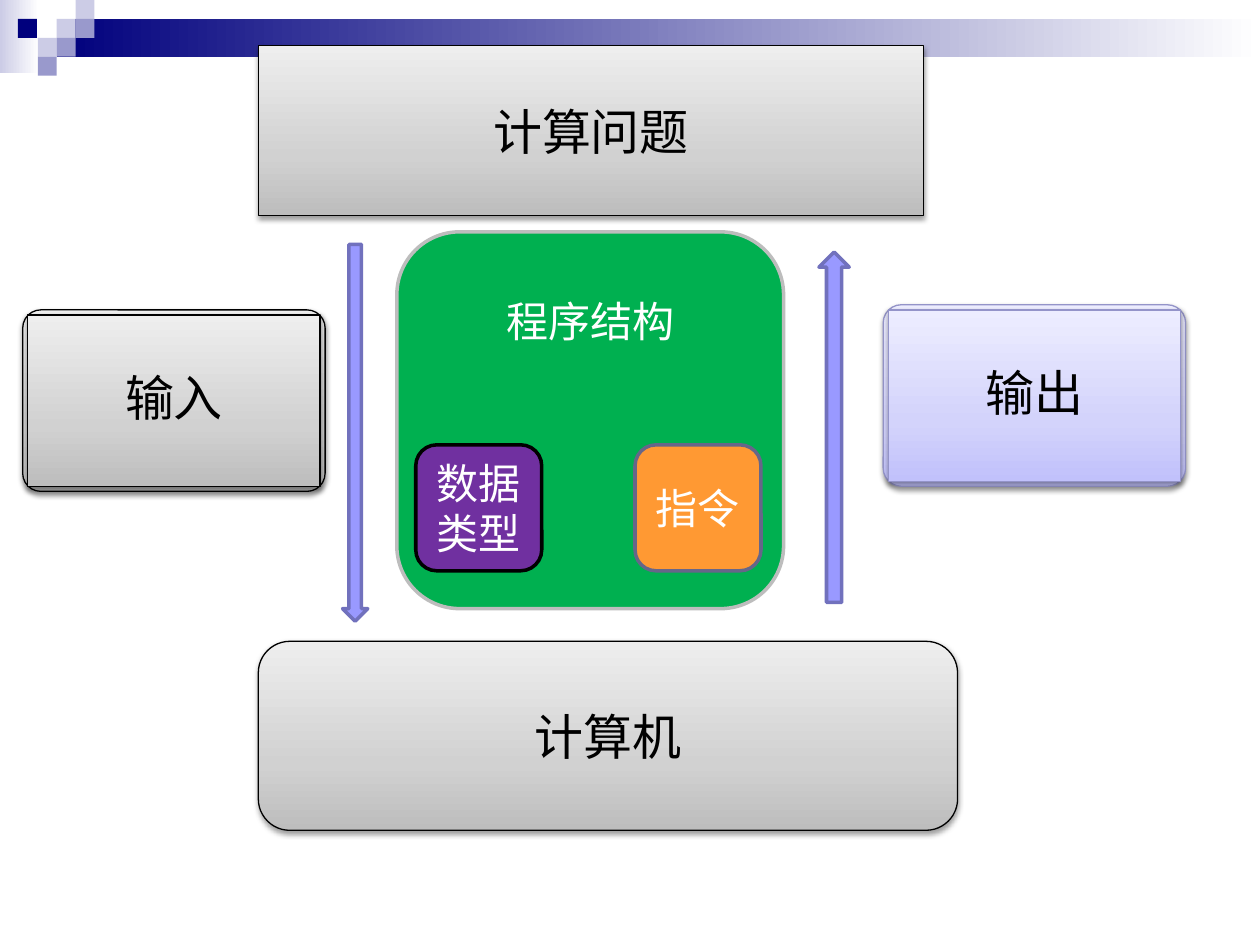
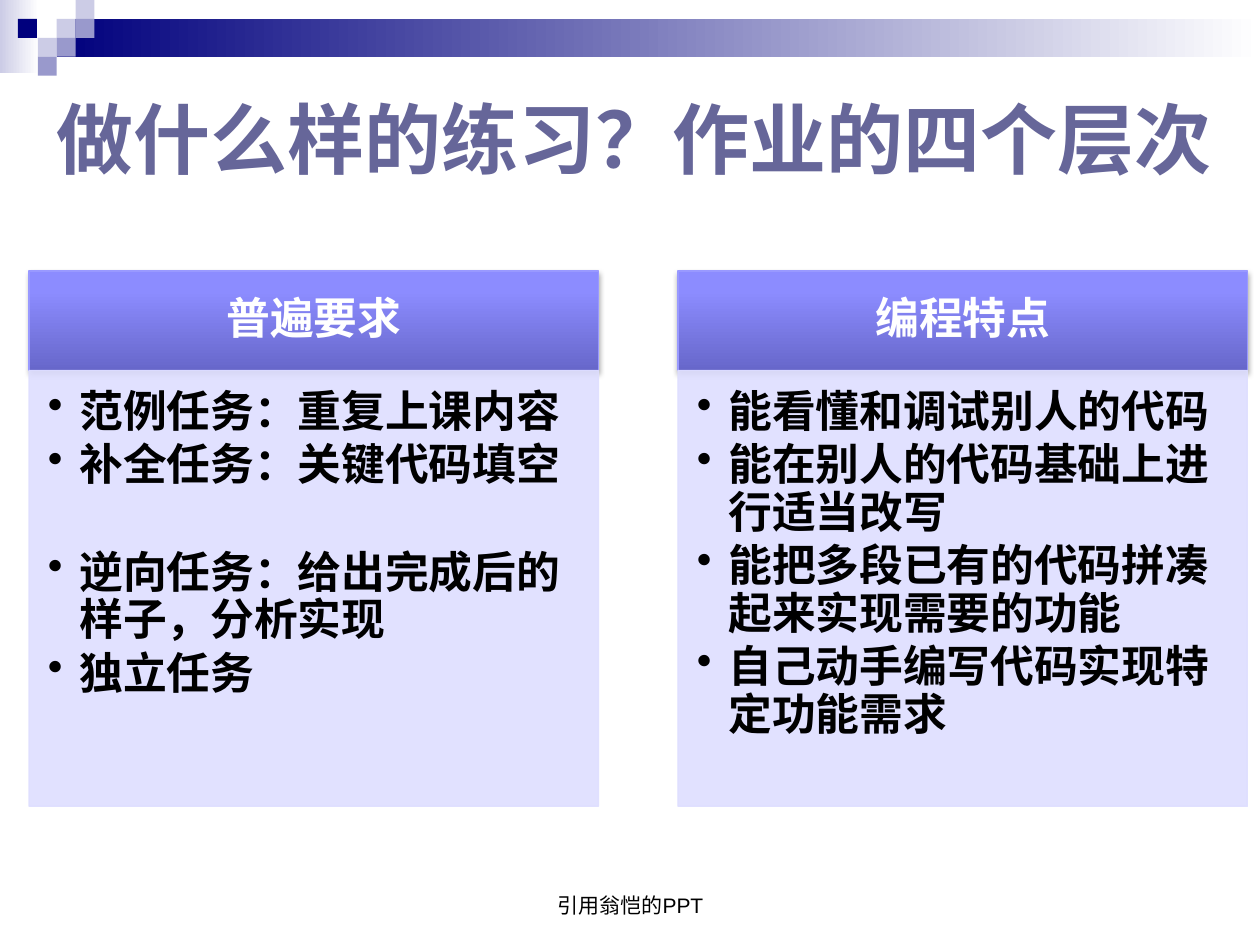
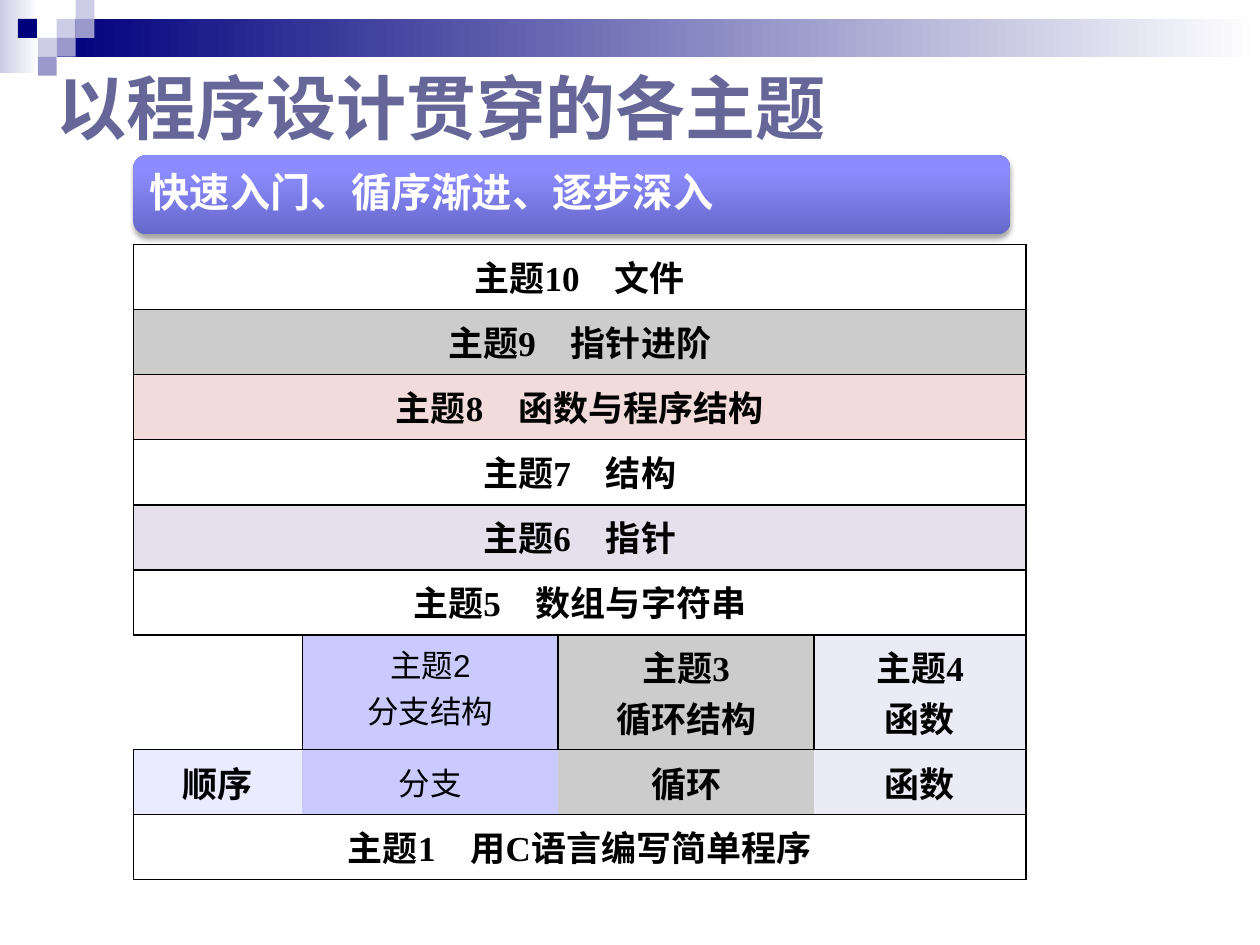
"""Build three course slides: computing model, exercise levels and topic map."""
from lxml import etree
from pptx import Presentation
from pptx.dml.color import RGBColor
from pptx.enum.shapes import MSO_SHAPE
from pptx.enum.text import MSO_ANCHOR, PP_ALIGN
from pptx.oxml.ns import qn
from pptx.util import Pt

RECT, ROUND = MSO_SHAPE.RECTANGLE, MSO_SHAPE.ROUNDED_RECTANGLE
DOWN, UP = MSO_SHAPE.DOWN_ARROW, MSO_SHAPE.UP_ARROW
LEFT, CENTER = PP_ALIGN.LEFT, PP_ALIGN.CENTER
TOP, MIDDLE, BOTTOM = MSO_ANCHOR.TOP, MSO_ANCHOR.MIDDLE, MSO_ANCHOR.BOTTOM

COLORS = {
    "black": "000000", "white": "FFFFFF", "title": "666699",
    "navy": "00007D", "mist": "CCCCE6", "lavender": "9999CC",
    "green": "00B050", "silver": "BDBDBD", "purple": "7030A0",
    "orange": "FF9933", "slate": "666689", "periwinkle": "9999FF",
    "arrow edge": "7171BD", "card edge": "9494C9", "panel": "DEDEFF",
    "gray": "CCCCCC", "rose": "F2DCDB", "lilac": "E6E0EC",
    "branch": "CACAFF", "function": "EBEBF5", "sequence": "EBEBFF",
}
GRAY = [(0, "BDBDBD"), (35, "D1D1D1"), (100, "EEEEEE")]
PALE = [(0, "C1C1FB"), (35, "D3D3FB"), (100, "EDEDFF")]
VIVID = [(0, "6767CA"), (80, "8C8CFF"), (100, "8E8EFF")]
SOFT_SHADOW, HEADER_SHADOW = (38, 1.6), (35, 1.8)
NO_STYLE = "{2D5ABB26-0587-4C30-8999-92F81FD0307C}"


def add_box(page, kind, at, fill, line=None, width=0.75, shadow=None, angle=90):
    """Add a shape with a plain colour name or gradient stops as its fill."""
    box = page.shapes.add_shape(kind, *map(Pt, at))
    box.shadow.inherit = False
    if isinstance(fill, str):
        box.fill.solid()
        box.fill.fore_color.rgb = RGBColor.from_string(COLORS[fill])
    else:
        box.fill.gradient()
        box.fill.gradient_angle = angle
        stops = box.element.spPr.find(".//" + qn("a:gsLst"))
        for stop in list(stops):
            stops.remove(stop)
        for position, color in fill:
            stop = etree.SubElement(stops, qn("a:gs"), pos=str(position * 1000))
            etree.SubElement(stop, qn("a:srgbClr"), val=color)
    if line:
        box.line.color.rgb = RGBColor.from_string(COLORS[line])
        box.line.width = Pt(width)
    else:
        box.line.fill.background()
    if shadow:
        alpha, distance = shadow
        effects = box.element.spPr.find(qn("a:effectLst"))
        outer = etree.SubElement(
            effects, qn("a:outerShdw"), blurRad=str(Pt(3.1)),
            dist=str(Pt(distance)), dir="5400000", rotWithShape="0")
        tint = etree.SubElement(outer, qn("a:srgbClr"), val=COLORS["black"])
        etree.SubElement(tint, qn("a:alpha"), val=str(alpha * 1000))
    return box


def write(frame, text, size, color, bold=False, align=CENTER, font="Arial",
          anchor=None, insets=None):
    """Fill a text frame with paragraphs of one style."""
    frame.text = text
    for para in frame.paragraphs:
        para.alignment = align
        para.font.name = font
        para.font.size = Pt(size)
        para.font.bold = bold
        para.font.color.rgb = RGBColor.from_string(COLORS[color])
    if anchor is not None:
        frame.word_wrap = True
        frame.vertical_anchor = anchor
    if insets:
        (frame.margin_left, frame.margin_top,
         frame.margin_right, frame.margin_bottom) = map(Pt, insets)


deck = Presentation()
deck.slide_width, deck.slide_height = Pt(720), Pt(540)
model, levels, topics = [deck.slides.add_slide(deck.slide_layouts[6]) for _ in range(3)]

UNIT = 10.8
banner = [
    add_box(model, RECT, (0, 0, 22.3, 41.8),
            [(0, COLORS["mist"]), (100, COLORS["white"])], angle=0),
    add_box(model, RECT, (3 * UNIT, UNIT, 720 - 3 * UNIT, 2 * UNIT),
            [(0, COLORS["navy"]), (100, COLORS["white"])], angle=0),
]
for column, row, color in [(3, 1, "mist"), (4, 0, "mist"), (4, 1, "lavender"),
                           (2, 2, "mist"), (0.95, 1, "navy"),
                           (3, 2, "lavender"), (2, 3, "lavender")]:
    banner.append(add_box(model, RECT, (column * UNIT, row * UNIT, UNIT, UNIT), color))
for number, piece in enumerate(banner, 101):
    piece.element.xpath(".//p:cNvPr")[0].set("id", str(number))
    deck.slide_master.shapes.element.append(piece.element)

for page, title, at, size in [
        (levels, "做什么样的练习？作业的四个层次", (25.2, 49, 680.4, 60.5), 44),
        (topics, "以程序设计贯穿的各主题", (25.2, 33.1, 555.8, 55.4), 40)]:
    write(page.shapes.add_textbox(*map(Pt, at)).text_frame, title, size, "title",
          bold=True, align=LEFT, anchor=TOP)

program = add_box(model, ROUND, (226.8, 132.5, 221, 215.3), "green", "silver", 2)
write(program.text_frame, "程序结构", 24, "white", anchor=TOP, insets=(7.2, 26, 7.2, 3.6))
for left, text, fill, line in [(237.6, "数据类型", "purple", "black"),
                               (362.9, "指令", "orange", "slate")]:
    part = add_box(model, ROUND, (left, 254.2, 72, 72), fill, line, 2)
    write(part.text_frame, text, 24, "white", anchor=MIDDLE)
for kind, at, text in [(ROUND, (147.6, 366.5, 399.6, 108), "计算机"),
                       (RECT, (147.6, 25.9, 380.2, 97.2), "计算问题")]:
    level = add_box(model, kind, at, GRAY, "black", shadow=SOFT_SHADOW)
    write(level.text_frame, text, 28, "black", anchor=MIDDLE)
for kind, at in [(DOWN, (195.8, 139.7, 14.4, 215.3)), (UP, (468, 144, 17.3, 200.2))]:
    add_box(model, kind, at, "periwinkle", "arrow edge", 2)
for left, top, text, fill, line in [(504.7, 174.2, "输出", PALE, "card edge"),
                                    (13, 177.1, "输入", GRAY, "black")]:
    card = add_box(model, ROUND, (left, top, 172.8, 103.7), fill, line, shadow=SOFT_SHADOW)
    card.adjustments[0] = 0.1
    face = add_box(model, RECT, (left + 2.9, top + 2.9, 167, 97.9), fill, line,
                   shadow=SOFT_SHADOW)
    write(face.text_frame, text, 28, "black", anchor=MIDDLE, insets=[16.6] * 4)
    face.text_frame.paragraphs[0].line_spacing = 0.9

columns = [
    (16.6, "普遍要求", ["范例任务：重复上课内容", "补全任务：关键代码填空",
                    "逆向任务：给出完成后的样子，分析实现", "独立任务"]),
    (387.4, "编程特点", ["能看懂和调试别人的代码", "能在别人的代码基础上进行适当改写",
                     "能把多段已有的代码拼凑起来实现需要的功能",
                     "自己动手编写代码实现特定功能需求"]),
]
for left, heading, items in columns:
    header = add_box(levels, RECT, (left, 154.8, 325.4, 56.9), VIVID, "periwinkle",
                     shadow=HEADER_SHADOW)
    write(header.text_frame, heading, 25, "white", bold=True, anchor=MIDDLE,
          insets=(13.7, 7.9, 13.7, 7.9))
    header.text_frame.paragraphs[0].line_spacing = 0.9
    panel = add_box(levels, RECT, (left, 211.7, 325.4, 249.1), "panel", "panel")
    for tint in panel.element.spPr.iter(qn("a:srgbClr")):
        etree.SubElement(tint, qn("a:alpha"), val="90000")
    write(panel.text_frame, "\n".join(items), 25, "black", bold=True, align=LEFT,
          anchor=TOP, insets=(10.8, 10.8, 13.7, 15.8))
    for para in panel.text_frame.paragraphs:
        para.line_spacing = 0.9
        para.space_after = Pt(3.75)
        settings = para._p.get_or_add_pPr()
        settings.set("marL", str(Pt(18)))
        settings.set("indent", str(Pt(-18)))
        bullet = etree.SubElement(settings, qn("a:buChar"), char="•")
        settings.insert_element_before(bullet, "a:defRPr")
    if heading == "普遍要求":
        panel.text_frame.paragraphs[2].space_before = Pt(30.5)
footer = levels.shapes.add_textbox(Pt(246.2), Pt(491.8), Pt(228.2), Pt(36))
write(footer.text_frame, "引用翁恺的PPT", 12, "black", anchor=BOTTOM)

slogan = add_box(topics, ROUND, (76.3, 88.6, 501.1, 45.4), VIVID, shadow=HEADER_SHADOW)
write(slogan.text_frame, "快速入门、循序渐进、逐步深入", 23, "white", bold=True,
      align=LEFT, anchor=MIDDLE, insets=[7.2] * 4)
slogan.text_frame.paragraphs[0].line_spacing = 0.9

FRAMED = ["LRTB", "TB", "TB", "RTB"]
SPLIT = [None, "branch", "gray", "function"]
rows = [
    (["主题10　文件"], [None], FRAMED),
    (["主题9　指针进阶"], ["gray"], FRAMED),
    (["主题8　函数与程序结构"], ["rose"], FRAMED),
    (["主题7　结构"], [None], FRAMED),
    (["主题6　指针"], ["lilac"], FRAMED),
    (["主题5　数组与字符串"], [None], FRAMED),
    (["", "主题2\n分支结构", "主题3\n循环结构", "主题4\n函数"], SPLIT,
     ["RTB", "LRTB", "LRTB", "LRTB"]),
    (["顺序", "分支", "循环", "函数"], ["sequence"] + SPLIT[1:], ["LT", "T", "T", "RT"]),
    (["主题1　用C语言编写简单程序"], [None], ["LRB", "B", "B", "RB"]),
]
grid = topics.shapes.add_table(len(rows), 4, Pt(76.3), Pt(139.7), Pt(510), Pt(363)).table
grid.first_row = grid.horz_banding = False
grid._tbl.tblPr.find(qn("a:tableStyleId")).text = NO_STYLE
for column, width in zip(grid.columns, [96.5, 146.2, 146.2, 121.1]):
    column.width = Pt(width)
for index, (texts, fills, edges) in enumerate(rows):
    grid.rows[index].height = Pt(65.5 if index == 6 else 37.2)
    for column, sides in enumerate(edges):
        settings = grid.cell(index, column)._tc.get_or_add_tcPr()
        for side in sides:
            edge = etree.SubElement(settings, qn("a:ln" + side), w=str(Pt(1)))
            paint = etree.SubElement(edge, qn("a:solidFill"))
            etree.SubElement(paint, qn("a:srgbClr"), val=COLORS["black"])
    if len(texts) == 1:
        grid.cell(index, 0).merge(grid.cell(index, 3))
    for column, (text, fill) in enumerate(zip(texts, fills)):
        cell = grid.cell(index, column)
        if fill:
            cell.fill.solid()
            cell.fill.fore_color.rgb = RGBColor.from_string(COLORS[fill])
        else:
            cell.fill.background()
        if index == 7:
            cell.vertical_anchor = MIDDLE
        if fill == "branch":
            write(cell.text_frame, text, 18, "black")
        else:
            write(cell.text_frame, text, 20, "black", bold=True, font="Times New Roman")

deck.save("out.pptx")
